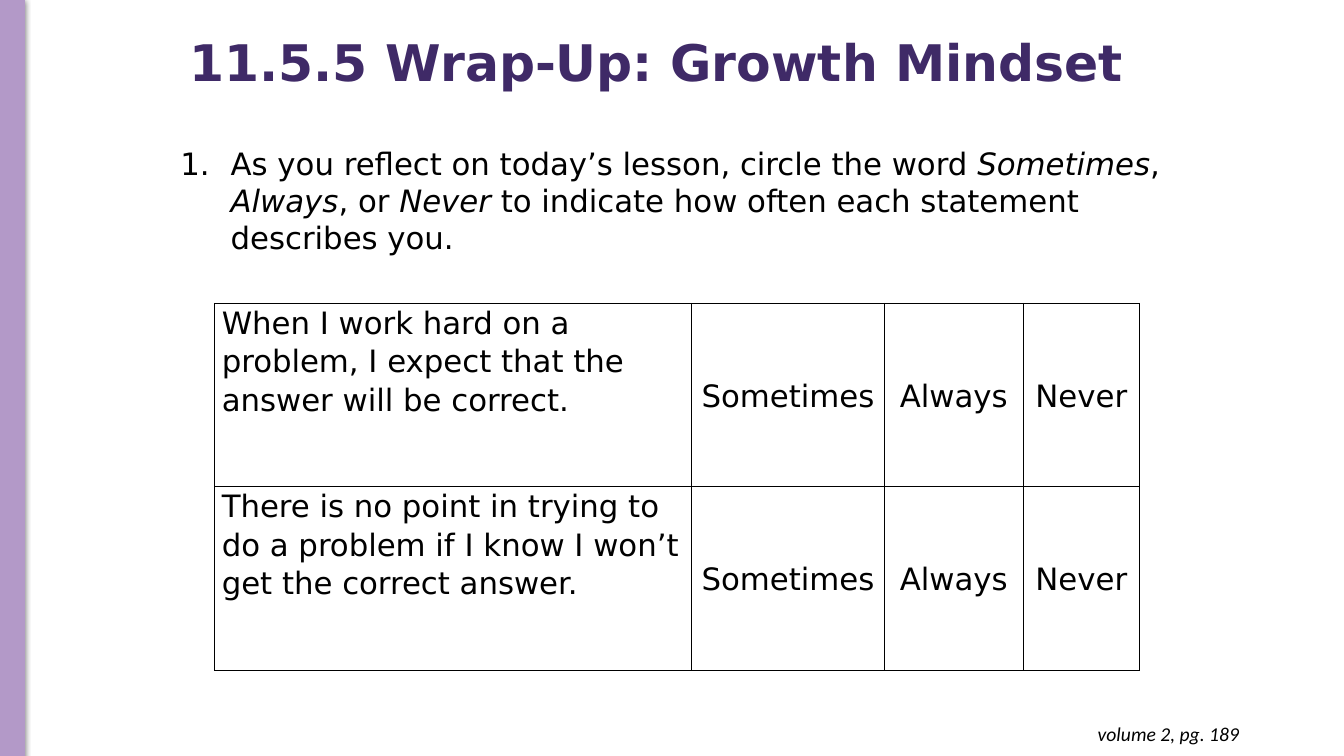
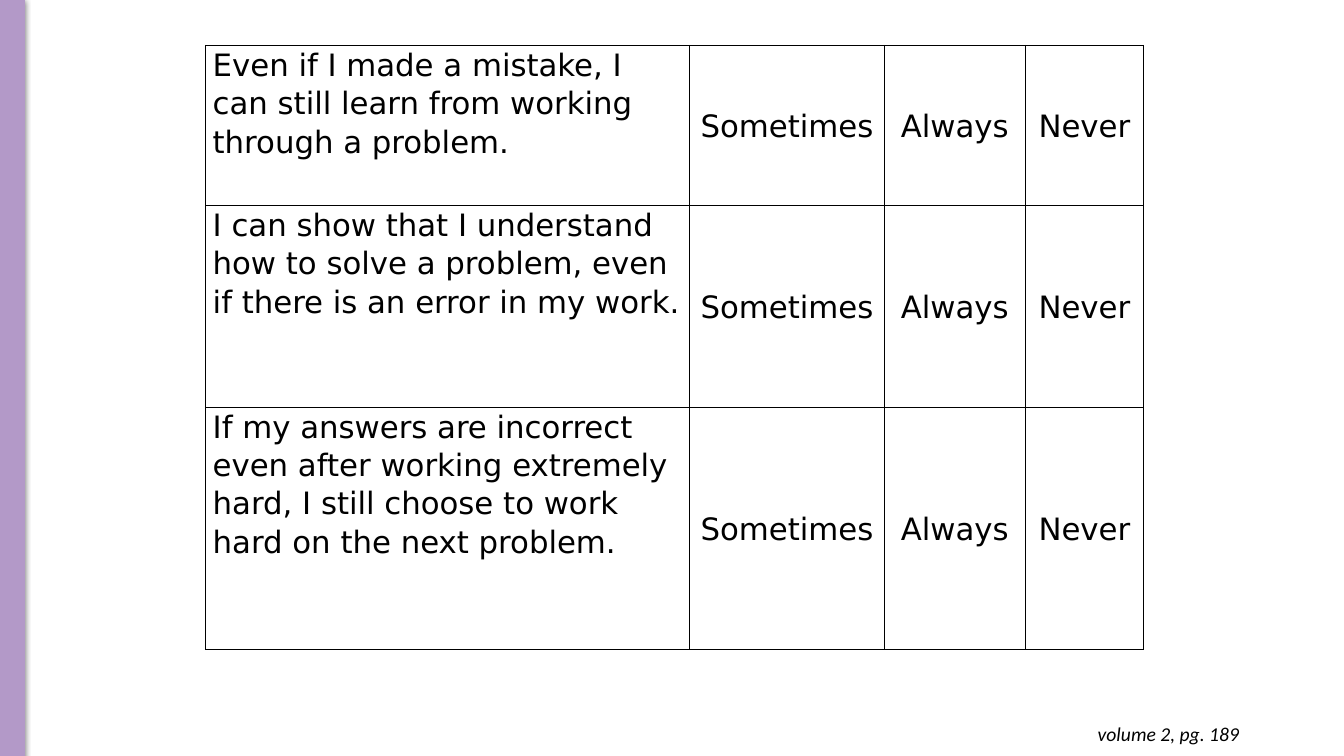
from dataclasses import dataclass

from lxml.etree import SubElement
from pptx import Presentation
from pptx.dml.color import RGBColor
from pptx.enum.shapes import MSO_SHAPE
from pptx.enum.text import MSO_ANCHOR, MSO_AUTO_SIZE, PP_ALIGN
from pptx.oxml import parse_xml
from pptx.oxml.ns import nsdecls, qn
from pptx.util import Inches, Pt


@dataclass(frozen=True)
class Theme:
    band: str = "B399C8"
    title: str = "3F2A67"
    ink: str = "000000"
    font: str = "DejaVu Sans"
    footer_font: str = "Calibri"
    title_size: int = 36
    body_size: int = 22
    footer_size: int = 14


THEME = Theme()
FOOTER = "volume 2, pg. 189"
CHOICES = ["Sometimes", "Always", "Never"]
SLIDES = [
    {
        "title": "11.5.5 Wrap-Up: Growth Mindset",
        "instruction": [
            ("As you reflect on today’s lesson, circle the word ", False),
            ("Sometimes", True),
            (", ", False),
            ("Always", True),
            (", or ", False),
            ("Never", True),
            (" to indicate how often each statement describes you.", False),
        ],
        "statements": [
            "When I work hard on a problem, I expect that the answer will be correct.",
            "There is no point in trying to do a problem if I know I won’t get the correct answer.",
        ],
        "origin": (2.13, 3.01),
        "cols": [4.73, 1.91, 1.38, 1.15],
        "rows": [1.82, 1.82],
    },
    {
        "statements": [
            "Even if I made a mistake, I can still learn from working through a problem.",
            "I can show that I understand how to solve a problem, even if there is an error in my work.",
            "If my answers are incorrect even after working extremely hard, "
            "I still choose to work hard on the next problem.",
        ],
        "origin": (2.04, 0.45),
        "cols": [4.8, 1.93, 1.4, 1.17],
        "rows": [1.59, 2, 2.4],
    },
]


def inches(*values):
    return [Inches(v) for v in values]


def style(r, size, font=THEME.font, color=THEME.ink, bold=False, italic=False):
    r.font.size = Pt(size)
    r.font.name = font
    r.font.color.rgb = RGBColor.from_string(color)
    r.font.bold = bold
    r.font.italic = italic


def add_band(s):
    sp = s.shapes.add_shape(MSO_SHAPE.RECTANGLE, *inches(0, -0.01, 0.24, 7.52))
    color = RGBColor.from_string(THEME.band)
    sp.fill.solid()
    sp.fill.fore_color.rgb = color
    sp.line.color.rgb = color
    sp.line.width = Pt(0.75)
    sp._element.spPr.append(parse_xml(
        f'<a:effectLst {nsdecls("a")}><a:outerShdw blurRad="{Pt(4.5)}" dist="{Pt(1.5)}" '
        f'dir="5400000" rotWithShape="0"><a:srgbClr val="{THEME.ink}">'
        '<a:alpha val="50000"/></a:srgbClr></a:outerShdw></a:effectLst>'))


def add_title(s, text):
    sp = s.shapes.title
    sp.left, sp.top, sp.width, sp.height = inches(1.78, -0.08, 10.73, 1.45)
    tf = sp.text_frame
    tf.text = text
    tf.auto_size = MSO_AUTO_SIZE.NONE
    tf.vertical_anchor = MSO_ANCHOR.MIDDLE
    p = tf.paragraphs[0]
    p.alignment = PP_ALIGN.LEFT
    p.line_spacing = 0.9
    style(p.runs[0], THEME.title_size, color=THEME.title, bold=True)


def add_text_box(s, box):
    tf = s.shapes.add_textbox(*inches(*box)).text_frame
    tf.word_wrap = True
    tf.auto_size = MSO_AUTO_SIZE.SHAPE_TO_FIT_TEXT
    return tf


def add_instruction(s, parts):
    p = add_text_box(s, (1.69, 1.39, 10.24, 1.21)).paragraphs[0]
    pPr = p._p.get_or_add_pPr()
    pPr.set("marL", str(Inches(0.5)))
    pPr.set("indent", str(Inches(-0.5)))
    SubElement(SubElement(pPr, qn("a:buClr")), qn("a:srgbClr"), val=THEME.ink)
    SubElement(pPr, qn("a:buAutoNum"), type="arabicPeriod")
    for text, italic in parts:
        r = p.add_run()
        r.text = text
        style(r, THEME.body_size, italic=italic)


def add_footer(s):
    tf = add_text_box(s, (9.51, 7.06, 2.88, 0.44))
    tf.margin_top = tf.margin_bottom = Inches(0.1)
    tf.text = FOOTER
    p = tf.paragraphs[0]
    p.alignment = PP_ALIGN.RIGHT
    style(p.runs[0], THEME.footer_size, font=THEME.footer_font, italic=True)


def add_borders(cell):
    tcPr = cell._tc.get_or_add_tcPr()
    for side in ("lnL", "lnR", "lnT", "lnB"):
        ln = SubElement(tcPr, qn(f"a:{side}"), w=str(Pt(1)))
        SubElement(SubElement(ln, qn("a:solidFill")), qn("a:srgbClr"), val=THEME.ink)


def fill_cell(cell, text, is_choice):
    add_borders(cell)
    cell.fill.background()
    cell.margin_left = cell.margin_right = Inches(0.07)
    cell.margin_top = cell.margin_bottom = 0
    cell.vertical_anchor = MSO_ANCHOR.MIDDLE if is_choice else MSO_ANCHOR.TOP
    cell.text = text
    p = cell.text_frame.paragraphs[0]
    p.alignment = PP_ALIGN.CENTER if is_choice else PP_ALIGN.LEFT
    p.line_spacing = 1.07
    p.space_after = Pt(8)
    style(p.runs[0], THEME.body_size)


def add_survey(s, statements, origin, cols, rows):
    table = s.shapes.add_table(
        len(rows), len(cols), *inches(*origin, sum(cols), sum(rows))).table
    table.first_row = table.horz_banding = False
    for column, width in zip(table.columns, cols):
        column.width = Inches(width)
    for row, height, statement in zip(table.rows, rows, statements):
        row.height = Inches(height)
        for i, (cell, text) in enumerate(zip(row.cells, [statement, *CHOICES])):
            fill_cell(cell, text, is_choice=i > 0)


def main():
    prs = Presentation()
    prs.slide_width, prs.slide_height = inches(13.33, 7.5)
    title_only, blank = prs.slide_layouts[5], prs.slide_layouts[6]
    for content in SLIDES:
        s = prs.slides.add_slide(title_only if "title" in content else blank)
        add_band(s)
        if "title" in content:
            add_title(s, content["title"])
        if "instruction" in content:
            add_instruction(s, content["instruction"])
        add_survey(s, content["statements"], content["origin"],
                   content["cols"], content["rows"])
        add_footer(s)
    prs.save("out.pptx")


if __name__ == "__main__":
    main()
